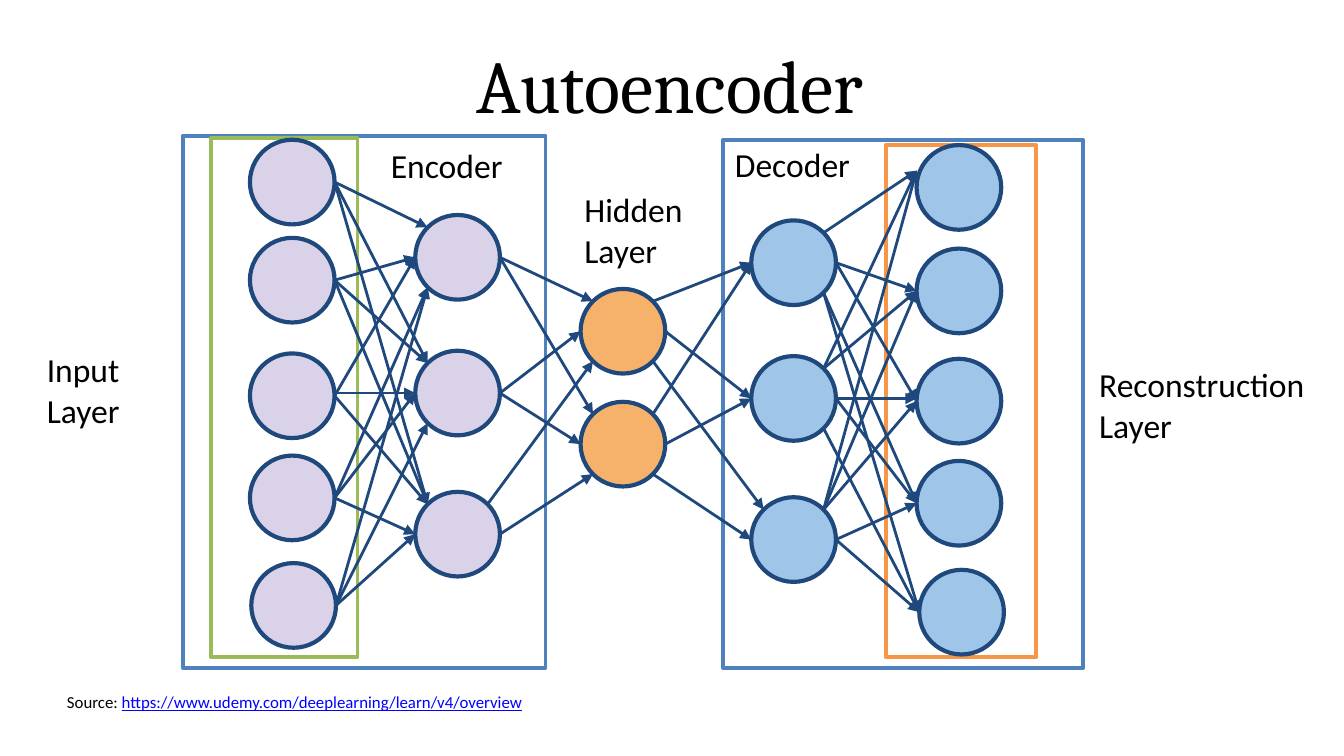
from math import sqrt

from lxml.etree import SubElement
from pptx import Presentation
from pptx.dml.color import RGBColor
from pptx.enum.shapes import MSO_CONNECTOR as Link, MSO_SHAPE as Kind
from pptx.enum.text import MSO_ANCHOR as Anchor, PP_ALIGN as Align
from pptx.oxml.ns import qn
from pptx.util import Inches, Pt

WHITE = RGBColor(0xFF, 0xFF, 0xFF)
BLACK = RGBColor(0, 0, 0)
NAVY = RGBColor(0x1F, 0x49, 0x7D)
BLUE = RGBColor(0x4F, 0x81, 0xBD)
GREEN = RGBColor(0x9B, 0xBB, 0x59)
ORANGE = RGBColor(0xF7, 0x96, 0x46)
LILAC = RGBColor(0xD9, 0xD2, 0xE9)
AMBER = RGBColor(0xF6, 0xB2, 0x6B)
SKY = RGBColor(0x9F, 0xC5, 0xE8)
URL = RGBColor(0, 0, 0xFF)

# A 16:9 slide on a grid of 100 columns; rows are as tall as columns are wide
WIDTH = Inches(10)
HEIGHT = WIDTH * 9 // 16
UNIT = WIDTH / 100
SIZE = 6.3  # node diameter in grid units
DIAG = 1 / sqrt(2)

# Where an arrow meets a node, seen from its centre: x points to the hidden
# layer (1) or away from it (-1), y points down
OUT, UP, LOW = (-1, 0), (-DIAG, -DIAG), (-DIAG, DIAG)
IN, RISE = (1, 0), (DIAG, -DIAG)

# One row per outer node, one entry per middle node
OUTER = [
    (UP, UP, UP),
    (OUT, UP, UP),
    (OUT, OUT, UP),
    (LOW, OUT, OUT),
    (LOW, LOW, OUT),
]
# One row per middle node: (port on middle, port on hidden) for each hidden node
INNER = [
    ((IN, UP), (IN, UP)),
    ((IN, OUT), (IN, OUT)),
    ((RISE, LOW), (IN, LOW)),
]


def scale(*nums):
    return [round(n * UNIT) for n in nums]


def draw(slide, kind, box, fill, line, width):
    shape = slide.shapes.add_shape(kind, *scale(*box))
    shape.shadow.inherit = False
    shape.fill.solid()
    shape.fill.fore_color.rgb = fill
    shape.line.color.rgb = line
    shape.line.width = Pt(width)


def nodes(slide, spots, fill):
    """Draw a layer of circles and return their centres."""
    for x, y in spots:
        draw(slide, Kind.OVAL, (x, y, SIZE, SIZE), fill, NAVY, 2.25)
    return [(x + SIZE / 2, y + SIZE / 2) for x, y in spots]


def port(node, way, side):
    return node[0] + side * way[0] * SIZE / 2, node[1] + way[1] * SIZE / 2


def arrow(slide, start, end):
    line = slide.shapes.add_connector(Link.STRAIGHT, *scale(*start, *end))
    line.line.color.rgb = NAVY
    line.line.width = Pt(1.5)
    SubElement(line.line._get_or_add_ln(), qn("a:tailEnd"), type="triangle")
    SubElement(line._element.spPr, qn("a:effectLst"))


def half(slide, box, frame, tint, fill, outer, middle, hidden, side, lift=0):
    """Draw an encoder (side 1) or a decoder (side -1) inside its box."""
    left, top, wide, tall = box
    draw(slide, Kind.RECTANGLE, box, WHITE, BLUE, 2)
    x, y, w, h = frame
    draw(slide, Kind.RECTANGLE, (left + x, top + y, w, h), WHITE, tint, 2)
    outs, mids = [nodes(slide, [(left + x, top + y) for x, y in layer], fill)
                  for layer in (outer, middle)]

    def join(one, two):
        arrow(slide, *((one, two) if side == 1 else (two, one)))

    for i, (node, row) in enumerate(zip(outs, OUTER)):
        x, y = port(node, IN, side)
        for j, (mid, way) in enumerate(zip(mids, row)):
            rise = lift if i == 0 else 0
            level = (i, j) == (2, 1)  # the central arrow is horizontal
            join((x, mid[1] if level else y - rise), port(mid, way, side))
    for mid, row in zip(mids, INNER):
        for hid, (leave, meet) in zip(hidden, row):
            join(port(mid, leave, side), port(hid, meet, side))


def write(frame, lines, size, font="Calibri", align=Align.LEFT, wrap=True):
    """Fill a text frame; a line is a list of (words, colour) runs."""
    frame.word_wrap = wrap
    for i, runs in enumerate(lines):
        para = frame.paragraphs[0] if i == 0 else frame.add_paragraph()
        para.alignment = align
        for words, color in runs:
            run = para.add_run()
            run.text = words
            run.font.size = Pt(size)
            run.font.name = font
            run.font.color.rgb = color
            run.font.underline = color == URL


def label(slide, box, lines, size=18, **style):
    text = slide.shapes.add_textbox(*scale(*box))
    write(text.text_frame, lines, size, **style)


def heading(slide, box, words):
    title = slide.shapes.title
    title.left, title.top, title.width, title.height = scale(*box)
    title.text_frame.vertical_anchor = Anchor.MIDDLE
    write(title.text_frame, [[(words, BLACK)]], 40, "Cambria", Align.CENTER)


def network(slide):
    hidden = nodes(slide, [(43.2, y) for y in (21.5, 29.9)], AMBER)
    half(slide, (13.6, 10.1, 27, 39.6), (2.1, 0.2, 10.9, 38.6), GREEN, LILAC,
         [(5, 0.3), (5, 7.6), (5, 16.2), (5, 23.8), (5.1, 31.8)],
         [(17.3, y) for y in (5.9, 16, 26.5)], hidden, 1)
    half(slide, (53.8, 10.4, 26.8, 39.3), (12.1, 0.4, 11.2, 38.1), ORANGE, SKY,
         [(14.4, 0.4), (14.4, 8.1), (14.4, 16.3), (14.4, 23.9), (14.6, 32)],
         [(2.1, y) for y in (6, 16.1, 26.6)], hidden, -1, lift=1.25)


def labels(slide):
    for words, box in [
        ("Encoder", (28.1, 10.3, 12.4, 4)),
        ("Decoder", (53.7, 10.2, 12.4, 4)),
        ("Input Layer", (2.5, 25.5, 9.6, 7.1)),
        ("Hidden Layer", (42.5, 13.6, 9.6, 7.1)),
    ]:
        label(slide, box, [[(words, BLACK)]])
    label(slide, (80.8, 26.6, 18.1, 7.1),
          [[("Reconstruction", BLACK)], [("Layer", BLACK)]], wrap=False)
    # Source line
    link = "https://www.udemy.com/deeplearning/learn/v4/overview"
    label(slide, (3.5, 51, 36.8, 2.5), [[("Source: ", BLACK), (link, URL)]],
          9, align=Align.CENTER, wrap=False)


def main():
    deck = Presentation()
    deck.slide_width, deck.slide_height = WIDTH, HEIGHT
    slide = deck.slides.add_slide(deck.slide_layouts[5])
    heading(slide, (3.8, 2.4, 92.1, 7.7), "Autoencoder")
    network(slide)
    labels(slide)
    deck.save("out.pptx")


if __name__ == "__main__":
    main()
